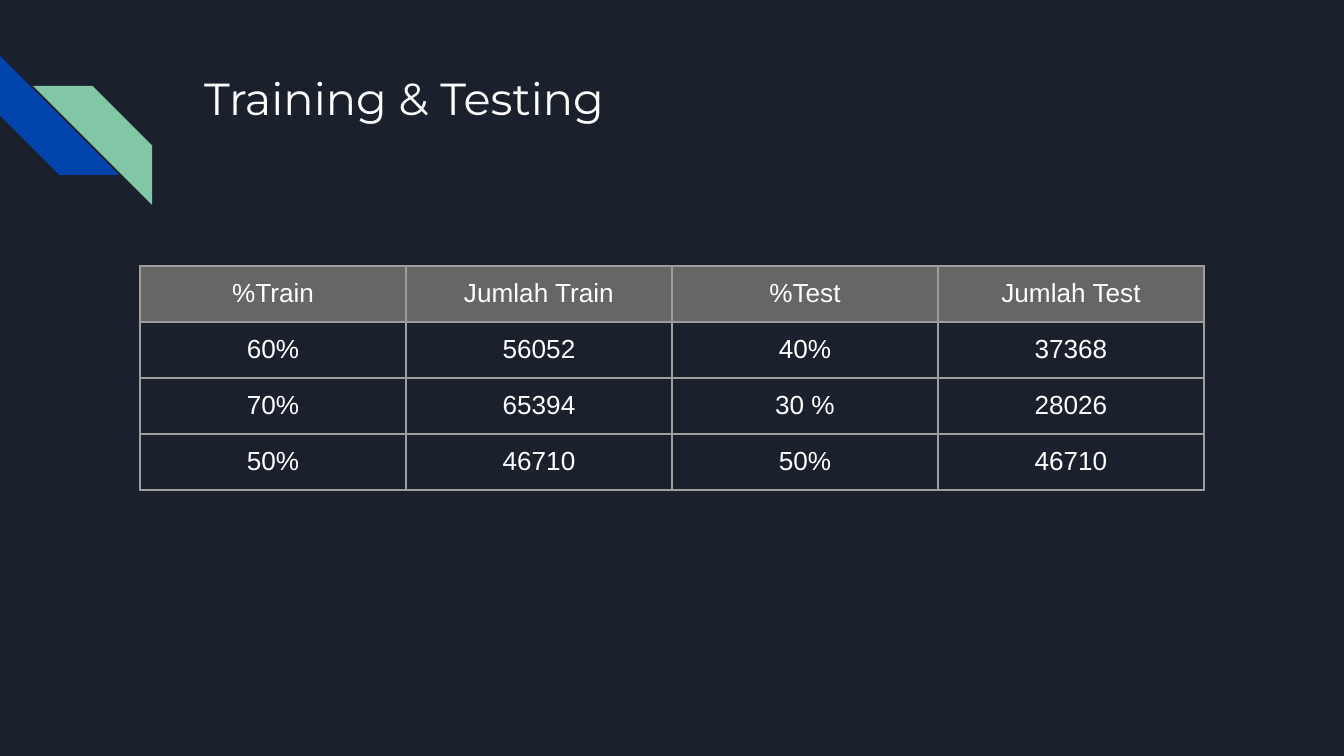
from lxml import etree
from pptx import Presentation
from pptx import util as u
from pptx.dml.color import RGBColor
from pptx.enum import shapes, text
from pptx.oxml import ns

PX = 914400 / 134.4
NIGHT = RGBColor(0x1B, 0x21, 0x2C)
BLUE = RGBColor(0x01, 0x45, 0xAC)
GREEN = RGBColor(0x82, 0xC7, 0xA5)
WHITE = RGBColor(0xFF, 0xFF, 0xFF)
HEADER_GRAY = RGBColor(0x66, 0x66, 0x66)
BORDER_GRAY = RGBColor(0x9E, 0x9E, 0x9E)
INSET = 13

SPLITS = [
    ["%Train", "Jumlah Train", "%Test", "Jumlah Test"],
    ["60%", "56052", "40%", "37368"],
    ["70%", "65394", "30 %", "28026"],
    ["50%", "46710", "50%", "46710"],
]


def px(length):
    return u.Emu(round(length * PX))


def apply_format(target, values):
    for name, value in values.items():
        setattr(target, name, value)


def margins(prefix):
    return {f"{prefix}_{side}": px(INSET) for side in ("left", "right", "top", "bottom")}


def write_text(frame, content, font_name, size, alignment):
    para = frame.paragraphs[0]
    para.alignment = alignment
    span = para.add_run()
    span.text = content
    apply_format(span.font, {"name": font_name, "size": u.Pt(size), "bold": False})
    span.font.color.rgb = WHITE


def add_stripes(page, box):
    left, top, width, height = box
    side = 119
    corners = [
        (left, top, 270, BLUE),
        (left + width - side, top + height - side, 90, GREEN),
    ]
    for x, y, rotation, color in corners:
        stripe = page.shapes.add_shape(
            shapes.MSO_SHAPE.DIAGONAL_STRIPE, px(x), px(y), px(side), px(side)
        )
        stripe.rotation = rotation
        stripe.shadow.inherit = False
        stripe.fill.solid()
        stripe.fill.fore_color.rgb = color
        stripe.line.fill.background()


def add_title(page, box):
    title = page.shapes.title
    apply_format(title, dict(zip(("left", "top", "width", "height"), map(px, box))))
    frame = title.text_frame
    apply_format(frame, margins("margin"))
    apply_format(frame, {
        "word_wrap": True,
        "auto_size": text.MSO_AUTO_SIZE.NONE,
        "vertical_anchor": text.MSO_ANCHOR.TOP,
    })
    write_text(frame, "Training & Testing", "Montserrat", 24, text.PP_ALIGN.LEFT)


def add_borders(cell):
    properties = cell._tc.get_or_add_tcPr()
    for position, edge in enumerate(("lnL", "lnR", "lnT", "lnB")):
        line = etree.Element(ns.qn(f"a:{edge}"), w=str(u.Pt(0.75)))
        fill = etree.SubElement(line, ns.qn("a:solidFill"))
        etree.SubElement(fill, ns.qn("a:srgbClr"), val=str(BORDER_GRAY))
        properties.insert(position, line)


def add_split_table(page, box):
    rows, columns = len(SPLITS), len(SPLITS[0])
    table = page.shapes.add_table(rows, columns, *map(px, box)).table
    apply_format(table, {"first_row": False, "horz_banding": False})
    for row, values in enumerate(SPLITS):
        for column, value in enumerate(values):
            cell = table.cell(row, column)
            apply_format(cell, margins("margin"))
            cell.vertical_anchor = text.MSO_ANCHOR.TOP
            if row == 0:
                cell.fill.solid()
                cell.fill.fore_color.rgb = HEADER_GRAY
            else:
                cell.fill.background()
            add_borders(cell)
            write_text(cell.text_frame, value, "Arial", 14, text.PP_ALIGN.CENTER)


def main():
    deck = Presentation()
    apply_format(deck, {"slide_width": px(1344), "slide_height": px(756)})
    page = deck.slides.add_slide(deck.slide_layouts[5])
    page.background.fill.solid()
    page.background.fill.fore_color.rgb = NIGHT
    add_stripes(page, (0, 56, 152, 149))
    add_title(page, (191, 58, 1035, 134))
    add_split_table(page, (140, 266, 1064, 224))
    deck.save("out.pptx")


if __name__ == "__main__":
    main()
